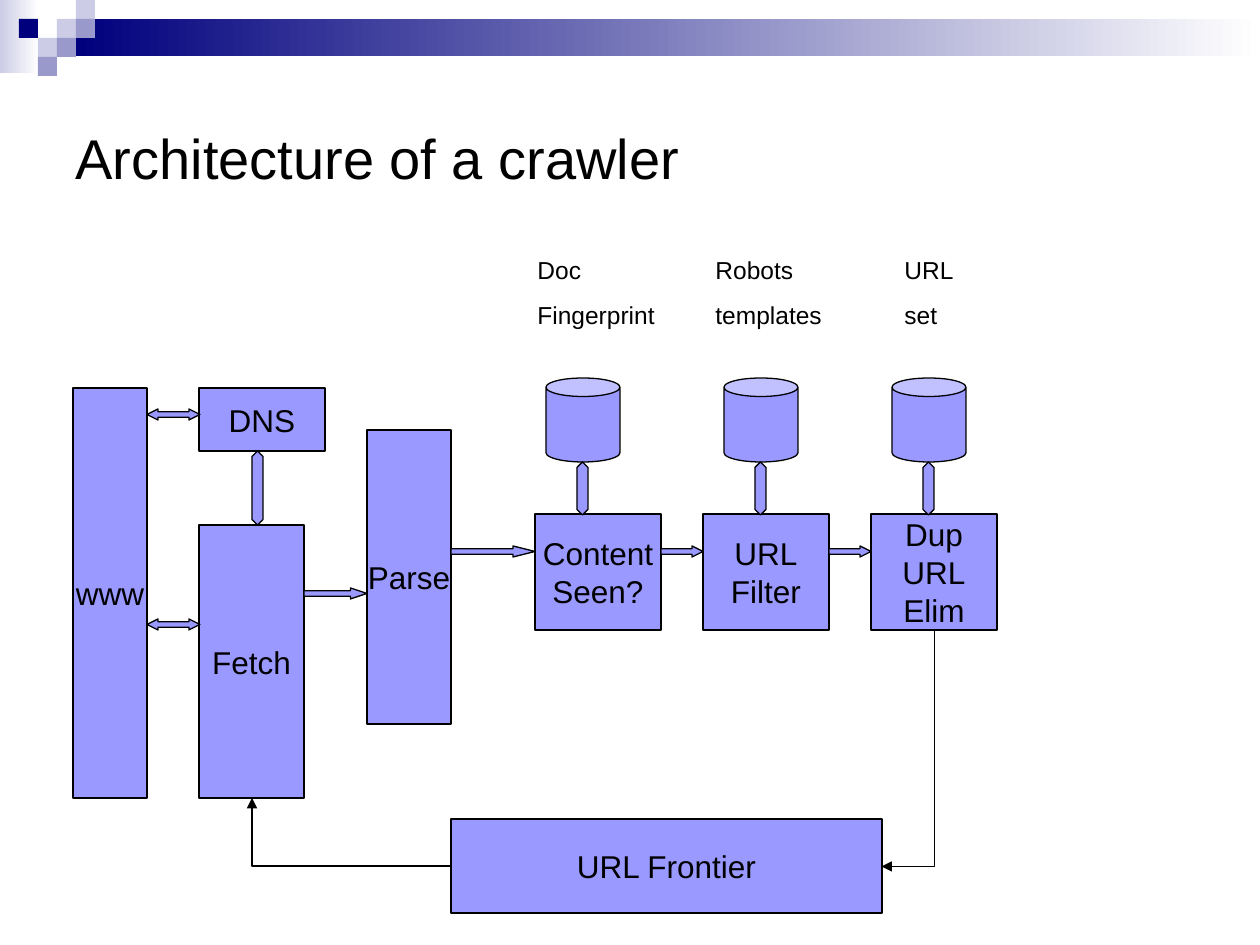
from lxml import etree
from pptx import Presentation
from pptx.dml.color import RGBColor
from pptx.enum.shapes import MSO_CONNECTOR as Link, MSO_SHAPE as Kind
from pptx.enum.text import MSO_ANCHOR as Anchor, MSO_AUTO_SIZE as Fit, PP_ALIGN as Align
from pptx.oxml.ns import qn
from pptx.util import Pt

SCALE = 914400 / 126
BLACK, WHITE, FILL = "000000", "FFFFFF", "9999FF"
NAVY, PALE, MID = "00007D", "CCCCE6", "9999CC"


def px(n):
    return round(n * SCALE)


def color(code):
    return RGBColor.from_string(code)


def place(shape, x, y, w, h):
    shape.left, shape.top = px(x), px(y)
    shape.width, shape.height = px(w), px(h)


def write(frame, text, size, align=Align.LEFT, gap=0):
    frame.text = text
    for par in frame.paragraphs:
        par.alignment = align
        par.space_before = Pt(gap)
        par.font.name, par.font.size = "Arial", Pt(size)
        par.font.color.rgb = color(BLACK)


def shape(slide, kind, x, y, w, h, fill=FILL, edge=True):
    item = slide.shapes.add_shape(kind, px(x), px(y), px(w), px(h))
    item.shadow.inherit = False
    item.fill.solid()
    item.fill.fore_color.rgb = color(fill)
    if edge:
        item.line.color.rgb = color(BLACK)
        item.line.width = Pt(0.75)
    else:
        item.line.fill.background()
    return item


def band(slide, x, y, w, h, start):
    item = shape(slide, Kind.RECTANGLE, x, y, w, h, edge=False)
    item.fill.gradient()
    item.fill.gradient_angle = 0
    for stop, code in zip(item.fill.gradient_stops, (start, WHITE)):
        stop.color.rgb = color(code)


def box(slide, text, x, y, w, h):
    frame = shape(slide, Kind.RECTANGLE, x, y, w, h).text_frame
    frame.word_wrap = False
    frame.vertical_anchor = Anchor.MIDDLE
    write(frame, text, 18, Align.CENTER)


def arrow(slide, kind, x, y, w, h, head=1):
    item = shape(slide, kind, x, y, w, h)
    item.adjustments[0] = 0.5
    item.adjustments[1] = head


def label(slide, text, x, w):
    frame = slide.shapes.add_textbox(px(x), px(249), px(w), px(87)).text_frame
    frame.word_wrap = True
    frame.auto_size = Fit.SHAPE_TO_FIT_TEXT
    write(frame, text, 14, gap=8.8)


def bend(slide, x, y, w, h, turn):
    line = slide.shapes.add_connector(Link.ELBOW, px(x), px(y), px(x + w), px(y + h))
    line.line.color.rgb = color(BLACK)
    line.line.width = Pt(0.75)
    props = line.element.spPr
    props.find(qn("a:xfrm")).set("rot", str(turn * 60000))
    props.find(qn("a:prstGeom")).set("prst", "bentConnector2")
    etree.SubElement(props.find(qn("a:ln")), qn("a:tailEnd"), type="triangle")
    etree.SubElement(props, qn("a:effectLst"))


def banner(slide):
    band(slide, 0, 0, 39, 73, PALE)
    band(slide, 76, 19, 1184, 37, NAVY)
    cells = [(3, 1, PALE), (4, 0, PALE), (4, 1, MID), (2, 2, PALE),
             (1, 1, NAVY), (3, 2, MID), (2, 3, MID)]
    for col, row, fill in cells:
        shape(slide, Kind.RECTANGLE, col * 19, row * 19, 19, 19, fill, False)


def title(slide, text):
    head = slide.shapes.title
    place(head, 63, 63, 1134, 189)
    head.text_frame.vertical_anchor = Anchor.MIDDLE
    write(head.text_frame, text, 32)


def stores(slide):
    stages = [("Content\nSeen?", 546, "Doc\nFingerprint", 525, 147),
              ("URL\nFilter", 724, "Robots\ntemplates", 703, 147),
              ("Dup\nURL\nElim", 892, "URL\nset", 892, 84)]
    for i, (name, can, note, left, wide) in enumerate(stages):
        box(slide, name, 535 + 168 * i, 514, 126, 116)
        shape(slide, Kind.CAN, can, 378, 74, 84).adjustments[0] = 0.25
        arrow(slide, Kind.UP_DOWN_ARROW, can + 31, 462, 11, 53)
        label(slide, note, left, wide)


def main():
    deck = Presentation()
    deck.slide_width, deck.slide_height = px(1260), px(945)
    slide = deck.slides.add_slide(deck.slide_layouts[5])
    banner(slide)
    title(slide, "Architecture of a crawler")

    box(slide, "www", 73, 388, 74, 410)
    box(slide, "DNS", 199, 388, 126, 63)
    box(slide, "Fetch", 199, 525, 105, 273)
    box(slide, "Parse", 367, 430, 84, 294)
    box(slide, "URL Frontier", 451, 819, 431, 94)
    stores(slide)

    for y in (409, 619):
        arrow(slide, Kind.LEFT_RIGHT_ARROW, 147, y, 53, 11)
    arrow(slide, Kind.UP_DOWN_ARROW, 252, 451, 11, 74, 1.39)
    for x, y, w, head in [(304, 588, 63, 1.5), (451, 546, 84, 2),
                          (661, 546, 42, 1), (829, 546, 42, 1)]:
        arrow(slide, Kind.RIGHT_ARROW, x, y, w, 11, head)
    bend(slide, 790, 722, 236, 53, 90)
    bend(slide, 252, 798, 199, 68, 180)
    deck.save("out.pptx")


if __name__ == "__main__":
    main()
